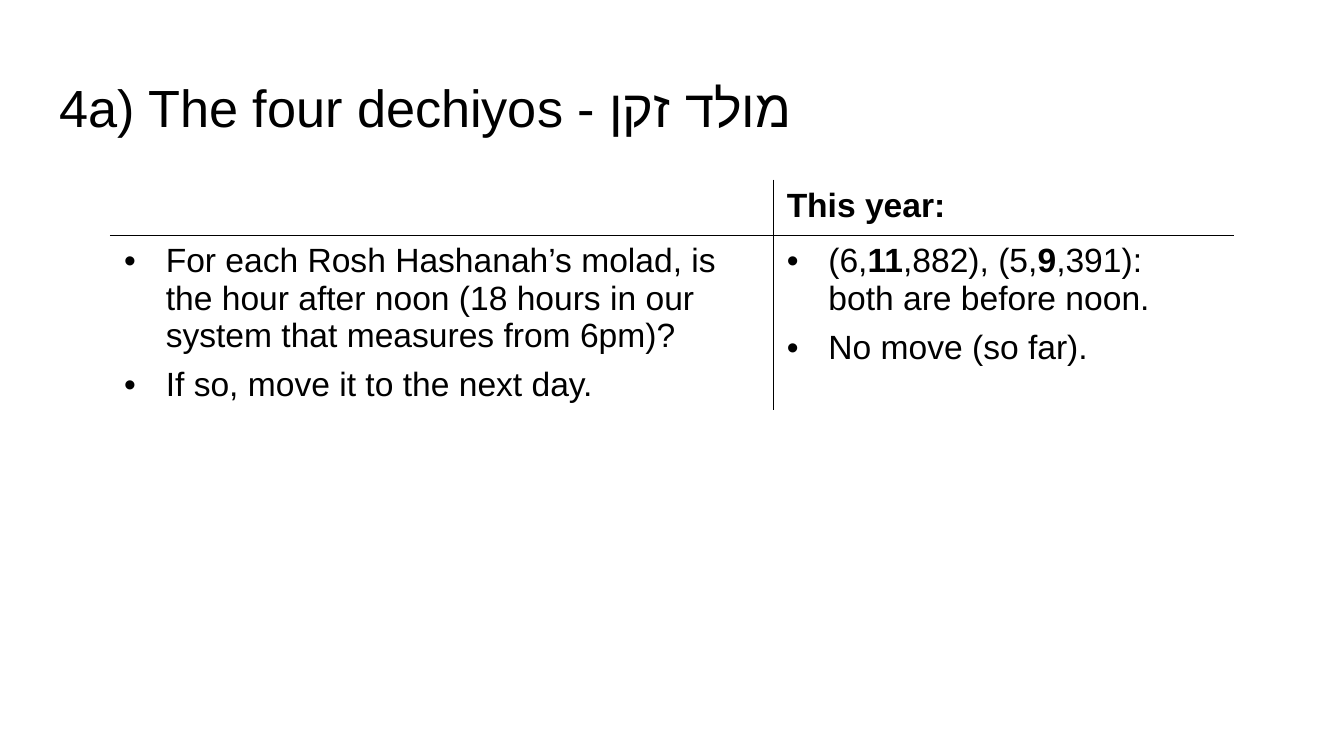
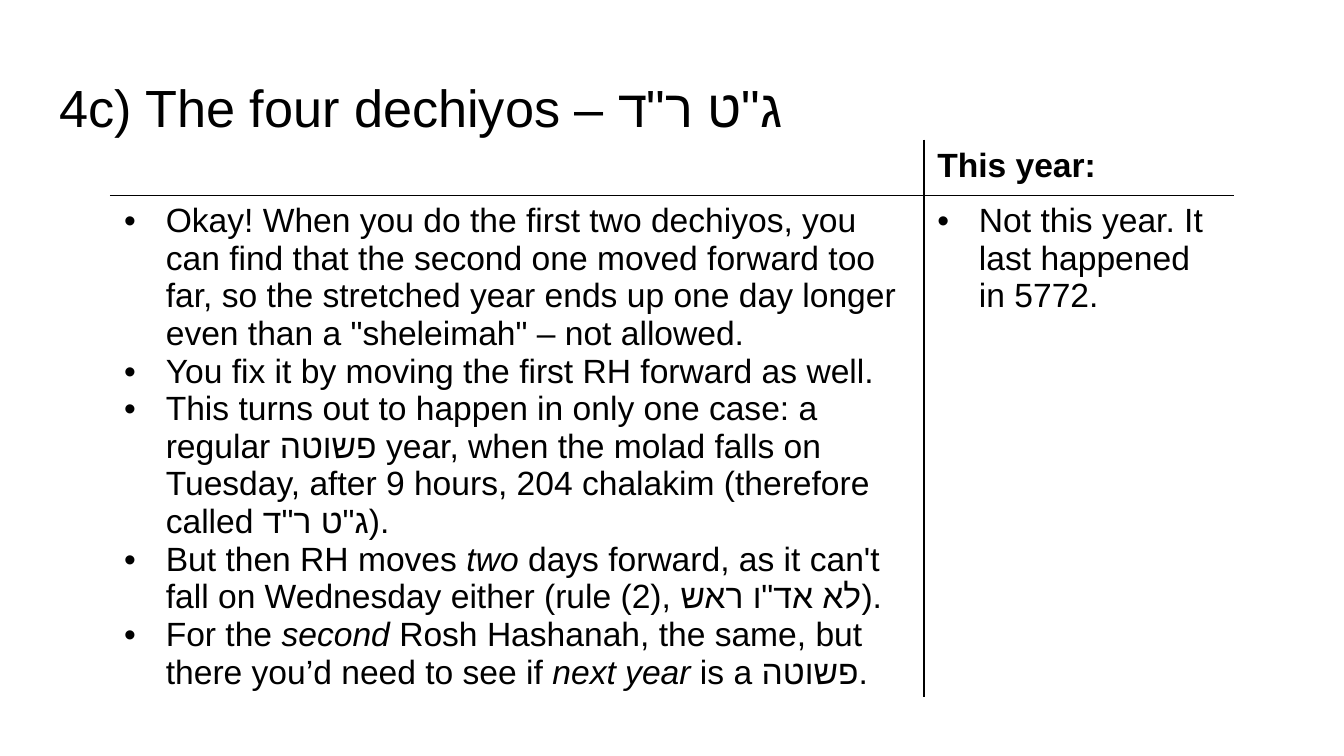
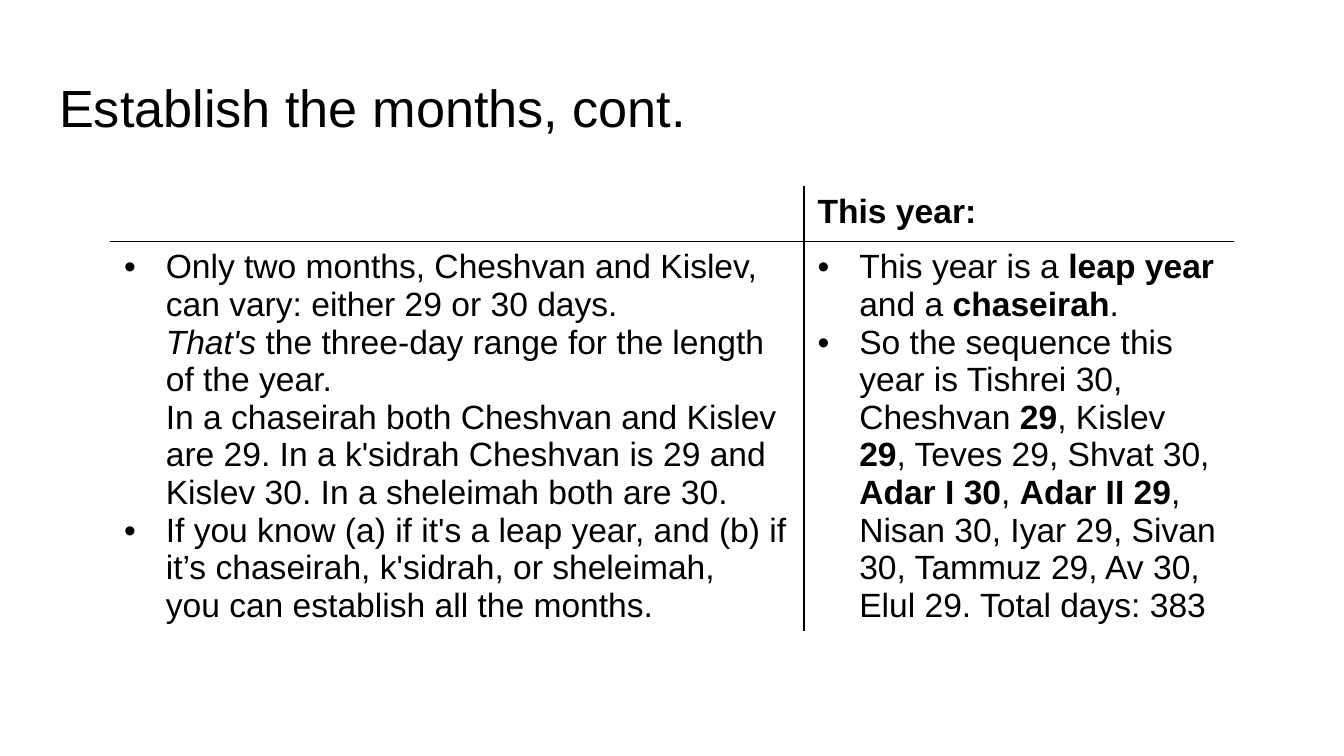
from lxml import etree
from pptx import Presentation
from pptx import util as u
from pptx.dml.color import RGBColor
from pptx.enum import text
from pptx.oxml import ns

BLACK = RGBColor(0x00, 0x00, 0x00)
WHITE = RGBColor(0xFF, 0xFF, 0xFF)


def add_element(parent, tag, **attributes):
    return etree.SubElement(parent, ns.qn(tag), attributes)


class Deck:
    """Holds the shared style and the current slide; lengths are percentages."""

    FONT = "Arial"
    TITLE_SIZE, BODY_SIZE = u.Pt(28), u.Pt(18)
    TITLE_BOX = (3.4, 8.71, 93.2, 11.2)
    TABLE_LEFT, TABLE_WIDTH, ROW_HEIGHT = 8.24, 83.5, 7.29
    INDENT = u.Inches(0.31)
    RULE = u.Pt(1)

    def __init__(self):
        self.prs = Presentation()
        self.prs.slide_width = u.Inches(10)
        self.prs.slide_height = u.Inches(5.625)
        self.slide = None

    def x(self, share):
        return round(self.prs.slide_width * share / 100)

    def y(self, share):
        return round(self.prs.slide_height * share / 100)

    def style(self, run, size, bold=False, italic=False):
        font = run.font
        font.size, font.bold, font.italic = size, bold, italic
        font.color.rgb = BLACK
        font.name = self.FONT
        # Hebrew letters take the complex-script font
        add_element(run._r.get_or_add_rPr(), "a:cs", typeface=self.FONT)

    def new_slide(self, heading):
        self.slide = self.prs.slides.add_slide(self.prs.slide_layouts[5])
        self.slide.background.fill.solid()
        self.slide.background.fill.fore_color.rgb = WHITE
        title = self.slide.shapes.title
        left, top, width, height = self.TITLE_BOX
        title.left, title.top = self.x(left), self.y(top)
        title.width, title.height = self.x(width), self.y(height)
        frame = title.text_frame
        frame.text = heading
        frame.word_wrap = True
        frame.auto_size = text.MSO_AUTO_SIZE.NONE
        frame.vertical_anchor = text.MSO_ANCHOR.TOP
        frame.margin_left = frame.margin_right = u.Inches(0.1)
        # Keeps the descenders clear of the highest table
        frame.margin_top = frame.margin_bottom = u.Inches(0.07)
        line = frame.paragraphs[0]
        line.alignment = text.PP_ALIGN.LEFT
        self.style(line.runs[0], self.TITLE_SIZE)

    def rich_text(self, paragraph, marked):
        """Write text in which *stars* mean bold and _underscores_ italic."""
        for b, bold_part in enumerate(marked.split("*")):
            for i, part in enumerate(bold_part.split("_")):
                for n, line in enumerate(part.split("\n")):
                    if n:
                        paragraph.add_line_break()
                    if line:
                        run = paragraph.add_run()
                        run.text = line
                        self.style(run, self.BODY_SIZE, b % 2 == 1, i % 2 == 1)

    def bullets(self, cell, items, gap):
        frame = cell.text_frame
        for n, item in enumerate(items):
            paragraph = frame.add_paragraph() if n else frame.paragraphs[0]
            paragraph.space_before = u.Pt(gap if n else 0)
            props = paragraph._p.get_or_add_pPr()
            props.set("marL", str(self.INDENT))
            props.set("indent", str(-self.INDENT))
            color = add_element(props, "a:buClr")
            add_element(color, "a:srgbClr", val=str(BLACK))
            add_element(props, "a:buFont", typeface=self.FONT)
            add_element(props, "a:buChar", char="•")
            self.rich_text(paragraph, item)

    def borders(self, cell, row, column):
        """Black rules between the cells, white ones around the table."""
        inner = {"L": column == 1, "R": column == 0, "T": row == 1, "B": row == 0}
        props = cell._tc.get_or_add_tcPr()
        for side, is_inner in inner.items():
            rule = add_element(props, f"a:ln{side}", w=str(self.RULE))
            fill = add_element(rule, "a:solidFill")
            add_element(fill, "a:srgbClr", val=str(BLACK if is_inner else WHITE))

    def year_table(self, top, height, rule_width, rules, this_year, gap=0):
        frame = self.slide.shapes.add_table(
            2, 2, self.x(self.TABLE_LEFT), self.y(top),
            self.x(self.TABLE_WIDTH), self.y(2 * self.ROW_HEIGHT))
        table = frame.table
        table.first_row = table.horz_banding = False
        table.columns[0].width = self.x(rule_width)
        table.columns[1].width = self.x(self.TABLE_WIDTH - rule_width)
        frame.height = self.y(height)
        for row in range(2):
            for column in range(2):
                cell = table.cell(row, column)
                self.borders(cell, row, column)
                cell.fill.solid()
                cell.fill.fore_color.rgb = WHITE
        self.rich_text(table.cell(0, 1).text_frame.paragraphs[0], "*This year:*")
        self.bullets(table.cell(1, 0), rules, gap)
        self.bullets(table.cell(1, 1), this_year, gap)


def main():
    deck = Deck()

    # First postponement rule
    deck.new_slide("4a) The four dechiyos - מולד זקן")
    deck.year_table(
        23.87, 31.82, 49.3,
        rules=[
            "For each Rosh Hashanah’s molad, is the hour after noon "
            "(18 hours in our system that measures from 6pm)?",
            "If so, move it to the next day.",
        ],
        this_year=[
            "(6,*11*,882), (5,*9*,391):\nboth are before noon.",
            "No move (so far).",
        ],
        gap=6)

    # Third postponement rule
    deck.new_slide("4c) The four dechiyos – ג\"ט ר\"ד")
    deck.year_table(
        18.56, 78.4, 60.5,
        rules=[
            "Okay! When you do the first two dechiyos, you can find that the "
            "second one moved forward too far, so the stretched year ends up "
            "one day longer even than a \"sheleimah\" – not allowed.",
            "You fix it by moving the first RH forward as well.",
            "This turns out to happen in only one case: a regular פשוטה year, "
            "when the molad falls on Tuesday, after 9 hours, 204 chalakim "
            "(therefore called ג\"ט ר\"ד).",
            "But then RH moves _two_ days forward, as it can't fall on "
            "Wednesday either (rule (2), לא אד\"ו ראש).",
            "For the _second_ Rosh Hashanah, the same, but there you’d need "
            "to see if _next year_ is a פשוטה.",
        ],
        this_year=["Not this year. It last happened in 5772."])

    # Month lengths
    deck.new_slide("Establish the months, cont.")
    deck.year_table(
        24.68, 62.4, 51.6,
        rules=[
            "Only two months, Cheshvan and Kislev, can vary: either 29 or 30 "
            "days.\n_That's_ the three-day range for the length of the year.\n"
            "In a chaseirah both Cheshvan and Kislev are 29. In a k'sidrah "
            "Cheshvan is 29 and Kislev 30. In a sheleimah both are 30.",
            "If you know (a) if it's a leap year, and (b) if it’s chaseirah, "
            "k'sidrah, or sheleimah,\nyou can establish all the months.",
        ],
        this_year=[
            "This year is a *leap year *and a *chaseirah*.",
            "So the sequence this year is Tishrei 30, Cheshvan *29*, Kislev "
            "*29*, Teves 29, Shvat 30, *Adar I 30*, *Adar II 29*, Nisan 30, "
            "Iyar 29, Sivan 30, Tammuz 29, Av 30, Elul 29. Total days: 383",
        ])

    deck.prs.save("out.pptx")


if __name__ == "__main__":
    main()
